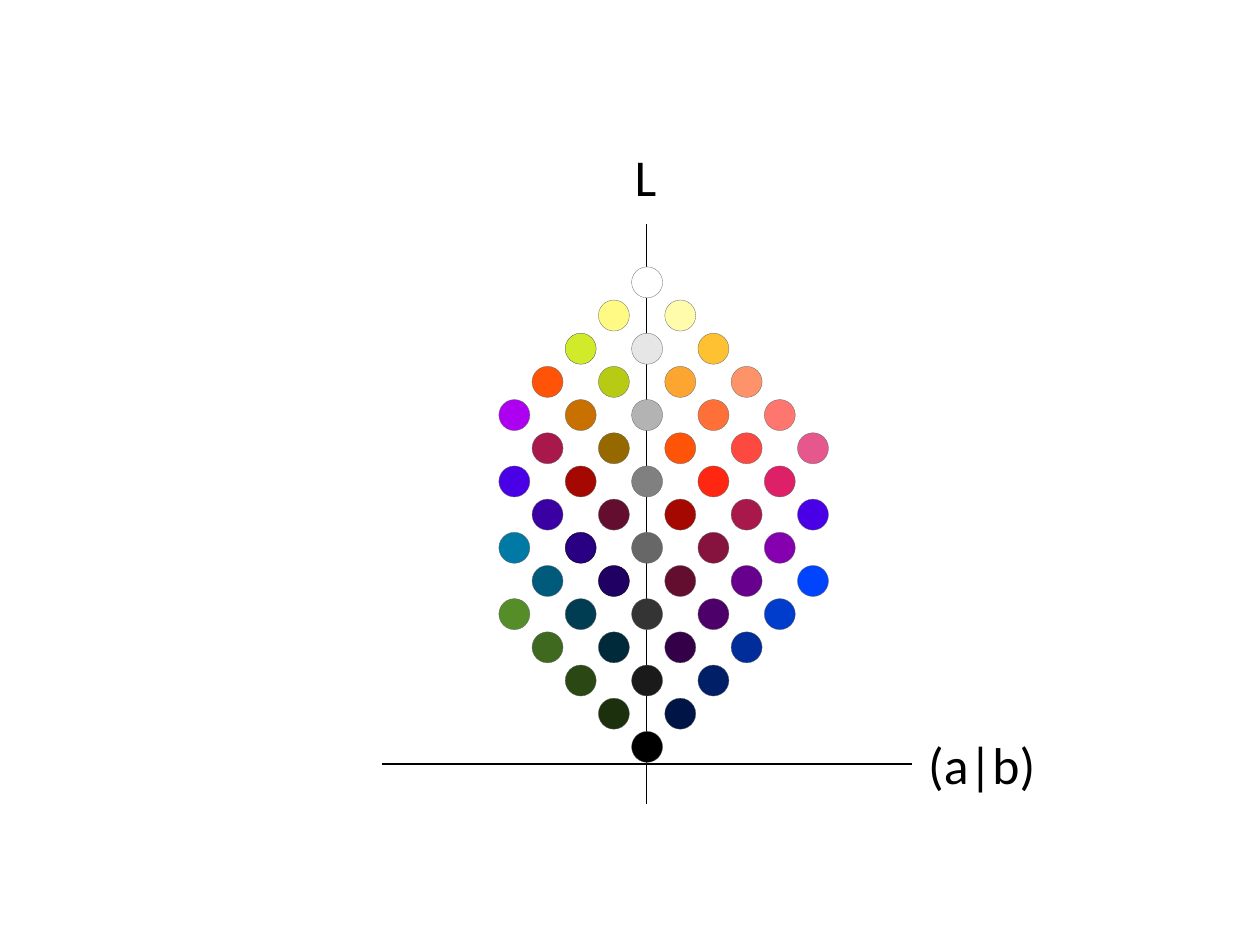
from pptx import Presentation
from pptx.dml.color import RGBColor as Rgb
from pptx.enum.shapes import MSO_CONNECTOR as Link, MSO_SHAPE as Shape
from pptx.enum.text import MSO_ANCHOR as Anchor, PP_ALIGN as Align
from pptx.oxml.ns import qn
from pptx.util import Inches, Pt

HUES = {
    "ink": "000000",
    "edge": "676767",
    "dots": [
        "FFFFFF",
        "FFFA83 FFFCAB",
        "D1EB2B E6E6E6 FDC131",
        "FF5308 B7CA14 FDA531 FE936A",
        "AE00F0 C97100 B3B3B3 FE7038 FF766F",
        "A8184B 956900 FF5308 FE4940 E6578D",
        "4A00E6 A40800 808080 FF2712 DD2067",
        "3B00A4 640E2F A40800 A8184B 4A00E6",
        "0079A5 290082 676767 86133E 8500AF",
        "005A7C 200063 640E2F 66008D 0044FE",
        "558E28 003C52 343434 4D0069 003DCC",
        "3F691E 002939 340047 002D99",
        "2B4714 1A1A1A 001F67",
        "1D300D 001445",
        "000000",
    ],
    "rims": {"290082": "000000", "200063": "000000", "D1EB2B": "4D4D4D"},
}
DOT = 0.35
REACH = 4
COLS = 9


def tint(name):
    return Rgb.from_string(name)


def rule(slide, *ends):
    line = slide.shapes.add_connector(Link.STRAIGHT, *map(Inches, ends))
    line.line.color.rgb = tint(HUES["ink"])
    line.line.width = Pt(1)
    props = line._element.spPr
    props.append(props.makeelement(qn("a:effectLst"), {}))


def axes(slide, x, y, w, h):
    mid, base = x + w / 2, y + h * 0.931
    rule(slide, mid, y, mid, y + h)
    rule(slide, x, base, x + w, base)


def solid(slide, x, y, w, h):
    last = len(HUES["dots"]) - 1
    col, row = (w - DOT) / COLS, (h - DOT) / last
    for r, dots in enumerate(HUES["dots"]):
        first = REACH - min(r, last - r, REACH - r % 2)
        for i, hue in enumerate(dots.split()):
            place = x + (first + 2 * i) * col, y + r * row, DOT, DOT
            dot = slide.shapes.add_shape(Shape.OVAL, *map(Inches, place))
            dot.shadow.inherit = False
            dot.fill.solid()
            dot.fill.fore_color.rgb = tint(hue)
            dot.line.color.rgb = tint(HUES["rims"].get(hue, HUES["edge"]))
            dot.line.width = Pt(0.25)


def label(slide, text, *box):
    frame = slide.shapes.add_textbox(*map(Inches, box)).text_frame
    frame.margin_left = frame.margin_right = 0
    frame.margin_top = frame.margin_bottom = 0
    frame.word_wrap = False
    frame.vertical_anchor = Anchor.MIDDLE
    frame.text = text
    para = frame.paragraphs[0]
    para.alignment = Align.CENTER
    font = para.runs[0].font
    font.name = "Calibri"
    font.size = Pt(42)
    font.color.rgb = tint(HUES["ink"])


def main():
    deck = Presentation()
    deck.slide_width, deck.slide_height = Inches(14.22), Inches(10.66)
    slide = deck.slides.add_slide(deck.slide_layouts[6])
    axes(slide, 4.31, 2.53, 5.98, 6.54)
    solid(slide, 5.63, 3.01, 3.72, 5.59)
    label(slide, "L", 7.13, 1.63, 0.31, 0.7)
    label(slide, "(a|b)", 10.4, 8.27, 1.36, 0.7)
    deck.save("out.pptx")


if __name__ == "__main__":
    main()
